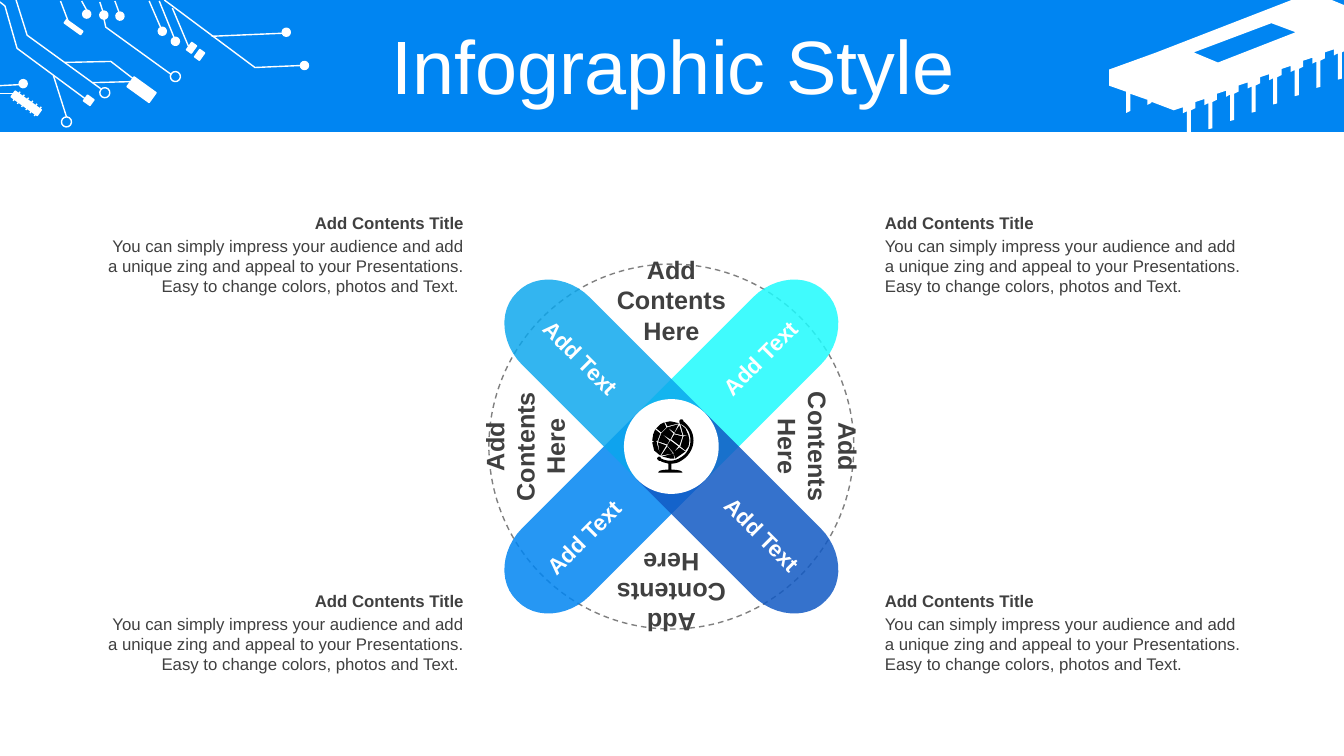
"""Build the four-arm infographic slide."""
from lxml import etree
from pptx import Presentation, util as u
from pptx.dml.color import RGBColor
from pptx.enum import dml, shapes, text
from pptx.oxml.ns import qn

COLORS = {"blue": "0085F2", "cyan": "1FFBFD", "sky": "0AA6ED", "navy": "125AC4",
          "white": "FFFFFF", "gray": "808080", "dark": "404040", "black": "000000"}
RECT, OVAL = shapes.MSO_SHAPE.RECTANGLE, shapes.MSO_SHAPE.OVAL
LEFT, CENTER, RIGHT = text.PP_ALIGN.LEFT, text.PP_ALIGN.CENTER, text.PP_ALIGN.RIGHT
TILT = 35.7
BODY = ("You can simply impress your audience and add a unique zing and appeal "
        "to your Presentations. Easy to change colors, photos and Text.")


def cm(inches):
    """Turn inches into a centimetre length."""
    return u.Cm(inches * 2.54)


def rgb(name):
    """Look up a colour of the palette."""
    return RGBColor.from_string(COLORS[name])


def paint(part, fill=None, line=None, opacity=None):
    """Set fill, outline and opacity of a shape and drop its shadow."""
    part.shadow.inherit = False
    if fill:
        part.fill.solid()
        part.fill.fore_color.rgb = rgb(fill)
    else:
        part.fill.background()
    if opacity:
        tint = part.fill._xPr.find(qn("a:solidFill"))[0]
        etree.SubElement(tint, qn("a:alpha"), val=str(opacity * 1000))
    if line:
        part.line.color.rgb = rgb(line)
        part.line.width = u.Pt(1)
    else:
        part.line.fill.background()
    return part


def preset(slide, kind, box, rotation=0, **style):
    """Add a painted preset shape."""
    part = slide.shapes.add_shape(kind, *map(cm, box))
    part.rotation = rotation
    return paint(part, **style)


def flatten(steps, samples=12):
    """Turn points and six-number Bezier steps into plain points."""
    points = []
    for step in steps:
        if len(step) == 2:
            points.append(step)
            continue
        start, ctrl1, ctrl2, end = points[-1], step[:2], step[2:4], step[4:]
        for i in range(1, samples + 1):
            t = i / samples
            weights = (1 - t) ** 3, 3 * t * (1 - t) ** 2, 3 * t * t * (1 - t), t ** 3
            points.append(tuple(sum(w * p[axis] for w, p in zip(weights, (start, ctrl1, ctrl2, end)))
                                for axis in (0, 1)))
    return points


def outline(slide, contours, left, top, unit=1, close=True, **style):
    """Draw contours, given relative to a corner, as one freeform."""
    builder = None
    for steps in contours:
        points = [(cm(left + x * unit), cm(top + y * unit)) for x, y in flatten(steps)]
        if builder is None:
            builder = slide.shapes.build_freeform(*points[0], scale=1.0)
        else:
            builder.move_to(*points[0])
        builder.add_line_segments(points[1:], close=close)
    return paint(builder.convert_to_shape(), **style)


def wire(slide, x1, y1, x2, y2):
    """Add a thin white straight line."""
    trace = slide.shapes.add_connector(shapes.MSO_CONNECTOR.STRAIGHT, *map(cm, (x1, y1, x2, y2)))
    trace.line.color.rgb = rgb("white")
    trace.line.width = u.Pt(1)
    etree.SubElement(trace._element.spPr, qn("a:effectLst"))


def write(slide, box, words, size, color, align=CENTER, bold=False, rotation=0):
    """Add a wrapped one-paragraph text box."""
    label = slide.shapes.add_textbox(*map(cm, box))
    label.rotation = rotation
    label.text_frame.word_wrap = True
    label.text_frame.auto_size = text.MSO_AUTO_SIZE.SHAPE_TO_FIT_TEXT
    paragraph = label.text_frame.paragraphs[0]
    paragraph.alignment = align
    run = paragraph.add_run()
    run.text = words
    run.font.name, run.font.size, run.font.bold = "Arial", u.Pt(size), bold
    run.font.color.rgb = rgb(color)
    return label


def chip(slide, left, top):
    """Draw the microchip with its row of evenly spaced legs."""
    leg = [(0, 0), (0, .26), (-.04, .27), (-.04, .01), (-.08, .03), (-.08, -.03), (-.17, 0), (-.17, .06)]
    legs = [(2.31 - .214 * n + x, .52 + .082 * n + y) for n in range(8) for x, y in leg]
    body = [(1.81, 0), (2.21, 0), (2.33, .05), (2.33, .51), *legs[:-1],
            (.42, 1.01), (.42, 1.02), (.38, 1.04), (.38, .99), (.21, .93), (.21, 1.1),
            (.17, 1.12), (.17, .91), (0, .85), (0, .69), (.47, .52)]
    window = [(1.61, .23), (.84, .52), (1.08, .62), (1.85, .32)]
    outline(slide, [body, window], left, top, fill="white")


def circuit(slide, left, top):
    """Draw the circuit traces, pads and components."""
    for x, y, w, h in [(1.27, .83, .27, .12), (.63, .25, .2, .04), (.84, .96, .08, .07),
                       (1.87, .43, .06, .09), (1.95, .5, .06, .09), (.1, .99, .32, .07)]:
        preset(slide, RECT, (left + x, top + y, w, h), TILT, fill="white", line="white")
    for x, y in [(2.98, .61), (2.8, .28), (.82, .1), (.99, .11), (1.15, .12),
                 (.19, .79), (1.7, .37), (1.57, .27)]:
        preset(slide, OVAL, (left + x, top + y, .08, .08), TILT, fill="white", line="white")
    for x, y in [(1.69, .71), (.99, .87), (.61, 1.16)]:
        preset(slide, OVAL, (left + x, top + y, .1, .1), TILT, line="white")
    ticks = [(.13 + .042 * n, 1 + .03 * n, .2 + .042 * n, .91 + .03 * n) for n in range(6)]
    for x1, y1, x2, y2 in [(.6, .01, .68, .22), (.81, .01, .86, .1), (.99, .02, 1.02, .11),
                           (1.14, .01, 1.18, .12), (1.48, .01, 1.61, .31), (1.58, .01, 1.73, .38),
                           (2.1, .36, 2.8, .33), (1.71, .08, 1.87, .46), (0, .85, .19, .84),
                           (0, .93, .14, .93), (.53, .75, .66, 1.16), (.92, .82, 1.3, .81), *ticks]:
        wire(slide, left + x1, top + y1, left + x2, top + y2)
    for bends in [[(1.63, 0), (2.53, .67), (2.99, .65)],
                  [(.16, 0), (.27, .35), (1, .88)],
                  [(0, .02), (.05, .06), (.17, .48), (.86, .99)],
                  [(.64, .62), (1.1, .61), (1.32, .78)],
                  [(1.03, .18), (1.05, .27), (1.7, .74)]]:
        outline(slide, [bends], left, top, close=False, line="white")


def header(slide, left, top, width, height):
    """Draw the title band with its decorations."""
    preset(slide, RECT, (left, top, width, height), fill="blue")
    chip(slide, left + width - 2.33, top)
    circuit(slide, left, top)
    title = write(slide, (left + .35, top + .3, 12.66, .79), "Infographic Style", 54, "white")
    title.text_frame.auto_size = text.MSO_AUTO_SIZE.NONE
    title.text_frame.vertical_anchor = text.MSO_ANCHOR.MIDDLE
    title.text_frame.paragraphs[0].line_spacing = .9


def turned(step, quarters):
    """Turn a step by quarter turns around the origin."""
    for _ in range(quarters):
        step = tuple(v for x, y in zip(step[::2], step[1::2]) for v in (-y, x))
    return step


def wheel(slide, left, top, size):
    """Draw the dashed ring, its four arms, the hub and the labels."""
    x, y = left + size / 2, top + size / 2
    ring = preset(slide, OVAL, (left, top, size, size), line="gray")
    ring.line.dash_style = dml.MSO_LINE.DASH
    arm = [(1.53, -1.53), (1.72, -1.35, 1.69, -1.02, 1.48, -.81), (.335, .335),
           (-.335, -.335), (.81, -1.48), (1.02, -1.69, 1.35, -1.72, 1.53, -1.53)]
    for color, quarters, opacity in [("cyan", 0, 85), ("blue", 2, 85), ("sky", 3, 83), ("navy", 1, 85)]:
        outline(slide, [[turned(step, quarters) for step in arm]], x, y, fill=color, opacity=opacity)
    preset(slide, OVAL, (x - .47, y - .47, .94, .94), fill="white")
    for quarters in range(4):
        dx, dy = turned((0, -1.64), quarters)
        write(slide, (x + dx - .905, y + dy - .315, 1.81, .63), "Add Contents Here",
              18, "dark", bold=True, rotation=90 * quarters)
    for dx, dy, rotation in [(.88, -.88, 315), (-.9, -.88, 45), (-.87, .9, 315), (.9, .87, 45)]:
        write(slide, (x + dx - .77, y + dy - .185, 1.54, .37), "Add Text",
              16, "white", bold=True, rotation=rotation)


def globe(slide, left, top):
    """Draw the desk globe in hundredths of an inch."""
    stand = [(29, 0), (30, 0, 31, 1, 31, 2), (37, 7, 41, 13, 41, 21), (41, 29, 36, 37, 29, 41),
             (26, 43, 23, 44, 19, 44), (19, 50), (25, 50, 30, 51, 30, 53), (6, 53),
             (6, 51, 10, 50, 16, 50), (16, 44), (13, 43, 10, 43, 8, 41), (7, 42, 5, 40, 5, 39),
             (5, 37, 8, 36, 9, 39), (15, 42, 22, 42, 28, 38), (34, 35, 38, 28, 38, 21),
             (38, 14, 35, 8, 29, 5), (28, 5, 27, 4, 27, 2), (27, 1, 28, 0, 29, 0)]
    tiles = [[(21, 34), (22, 39), (18, 39), (10, 37)], [(27, 28), (33, 32), (23, 39), (21, 33)],
             [(15, 27), (20, 33), (20, 34), (9, 36)], [(6, 23), (14, 26), (8, 36), (6, 25)],
             [(3, 22), (5, 23), (5, 25), (8, 36), (2, 31), (0, 23)],
             [(18, 21), (26, 27), (21, 33), (15, 26)],
             [(36, 16), (37, 21), (36, 27), (33, 31), (28, 27), (31, 17)],
             [(22, 15), (30, 17), (27, 26), (19, 20)], [(9, 14), (17, 21), (15, 25), (6, 22)],
             [(3, 10), (8, 14), (5, 22), (1, 22), (0, 21), (1, 15)],
             [(15, 8), (21, 14), (18, 20), (9, 14)], [(27, 6), (30, 16), (22, 14)],
             [(26, 5), (22, 13), (15, 8)], [(28, 5), (33, 9), (36, 16), (31, 16)],
             [(12, 3), (14, 8), (9, 13), (4, 9), (8, 5)], [(18, 2), (27, 4), (15, 7), (13, 3)]]
    outline(slide, [stand, *tiles], left, top, unit=.01, fill="black")


def note(slide, left, top, width, align, body):
    """Write a titled description."""
    write(slide, (left, top + .23, width, .71), body, 12, "dark", align)
    write(slide, (left, top, width, .3), "Add Contents Title", 12, "dark", align, bold=True)


def main():
    """Build and save the slide."""
    deck = Presentation()
    deck.slide_width, deck.slide_height = cm(13.333), cm(7.5)
    slide = deck.slides.add_slide(deck.slide_layouts[6])
    header(slide, 0, 0, 13.333, 1.31)
    wheel(slide, 4.85, 2.62, 3.62)
    for left, align, body in [(8.68, LEFT, BODY), (.97, RIGHT, BODY + " ")]:
        for top in (2.06, 5.81):
            note(slide, left, top, 3.73, align, body)
    globe(slide, 6.47, 4.16)
    deck.save("out.pptx")


if __name__ == "__main__":
    main()
